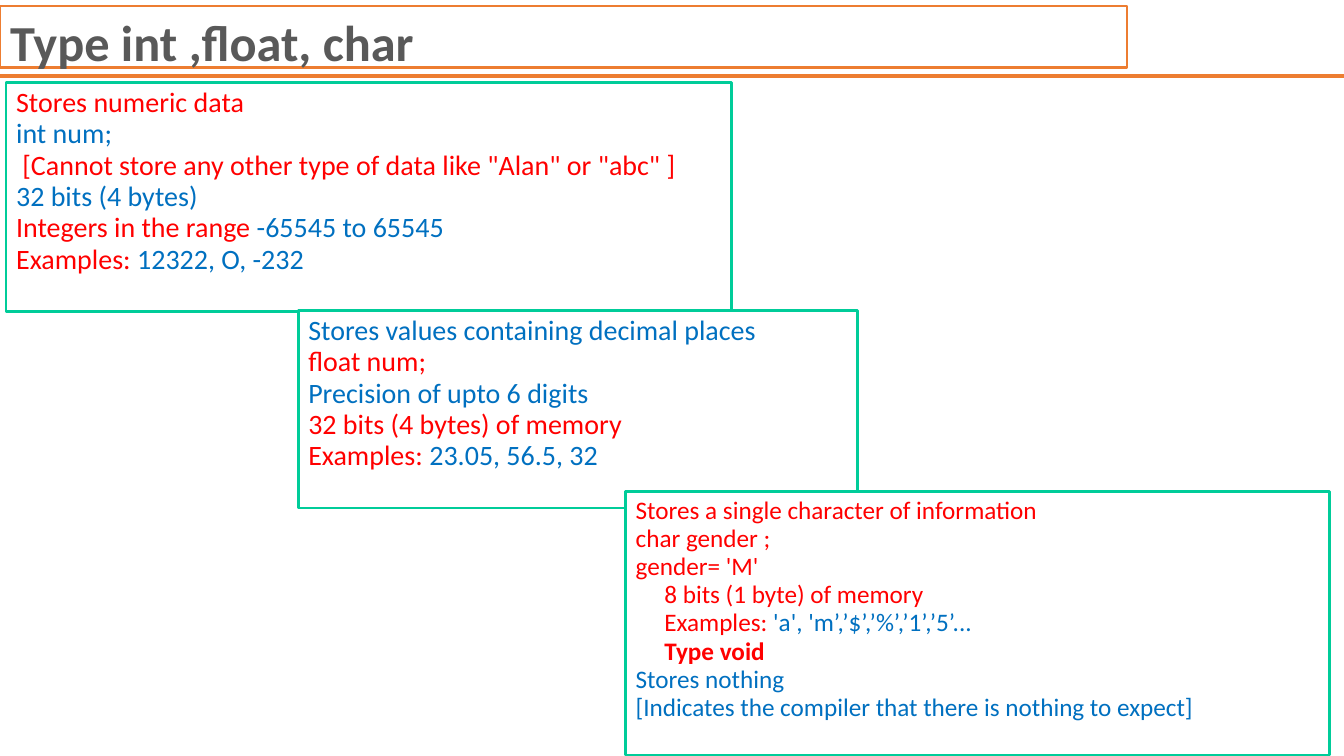
from dataclasses import dataclass

from lxml.etree import SubElement
from pptx import Presentation
from pptx.dml.color import RGBColor
from pptx.enum.shapes import MSO_CONNECTOR as Connector
from pptx.enum.text import MSO_ANCHOR as Anchor, MSO_AUTO_SIZE as AutoSize, PP_ALIGN as Align
from pptx.oxml.ns import qn
from pptx.util import Pt

COLORS = {
    "accent": "ED7D31",
    "title": "595959",
    "border": "00CC99",
    "paper": "FFFFFF",
    "red": "FF0000",
    "blue": "0070C0",
}
FONT = "Calibri"
COMPARISON_LAYOUT = 4
SLIDE_WIDTH, SLIDE_HEIGHT = 960.48, 540
RULE_TOP = 54.36
VOID_INDENT = 20.5


@dataclass(frozen=True)
class Span:
    text: str
    color: str
    bold: bool = False


@dataclass(frozen=True)
class Line:
    spans: tuple[Span, ...]
    indent: float = 0


@dataclass(frozen=True)
class TypeCard:
    box: tuple[float, float, float, float]
    size: float
    align: Align
    lines: tuple[Line, ...]


def red(text: str, bold: bool = False) -> Span:
    """Return a red span."""
    return Span(text, "red", bold)


def blue(text: str) -> Span:
    """Return a blue span."""
    return Span(text, "blue")


def line(*spans: Span, indent: float = 0) -> Line:
    """Return a line made of the given spans."""
    return Line(spans, indent)


TITLE_BOX = (0, 4.32, 805.68, 43.92)
TITLE = Span("Type int ,float, char", "title", True)
CARDS = (
    TypeCard((4.32, 59.04, 518.4, 163.44), 20, Align.JUSTIFY, (
        line(red("Stores numeric data")),
        line(blue("int num;")),
        line(red('[Cannot store any other type of data like "Alan" or "abc" ]'), indent=4.5),
        line(blue("32 bits (4 bytes)")),
        line(red("Integers in the range"), blue(" -65545 to 65545")),
        line(red("Examples: "), blue("12322, O, -232")),
    )),
    TypeCard((213.12, 221.76, 399.6, 141.12), 20, Align.JUSTIFY, (
        line(blue("Stores values containing decimal places")),
        line(red("float num;")),
        line(blue("Precision of upto 6 digits")),
        line(red("32 bits (4 bytes) of memory")),
        line(red("Examples:"), blue(" 23.05, 56.5, 32")),
    )),
    TypeCard((447.12, 351.36, 503.28, 187.92), 18, Align.LEFT, (
        line(red("Stores a single character of information")),
        line(red("char gender ;")),
        line(red("gender= 'M'")),
        line(red("8 bits (1 byte) of memory"), indent=VOID_INDENT),
        line(red("Examples: "), blue("'a', 'm’,’$’,’%’,’1’,’5’..."), indent=VOID_INDENT),
        line(red("Type void", bold=True), indent=VOID_INDENT),
        line(blue("Stores nothing")),
        line(blue("[Indicates the compiler that there is nothing to expect]")),
    )),
)


def rgb(name: str) -> RGBColor:
    """Look up a named colour."""
    return RGBColor.from_string(COLORS[name])


def frame(holder, box: tuple[float, float, float, float], border: str, weight: float):
    """Place and outline a placeholder, returning its text frame."""
    holder.left, holder.top, holder.width, holder.height = map(Pt, box)
    holder.line.color.rgb = rgb(border)
    holder.line.width = Pt(weight)
    text_frame = holder.text_frame
    text_frame.word_wrap = True
    text_frame.auto_size = AutoSize.NONE
    text_frame.vertical_anchor = Anchor.TOP
    return text_frame


def add_span(paragraph, span: Span, size: float) -> None:
    """Append one formatted run."""
    run = paragraph.add_run()
    run.text = span.text
    run.font.name = FONT
    run.font.size = Pt(size)
    run.font.bold = span.bold
    run.font.color.rgb = rgb(span.color)


def draw_rule(slide) -> None:
    """Draw the rule below the title."""
    rule = slide.shapes.add_connector(
        Connector.STRAIGHT, Pt(0), Pt(RULE_TOP), Pt(SLIDE_WIDTH), Pt(RULE_TOP))
    rule.line.color.rgb = rgb("accent")
    rule.line.width = Pt(3)
    SubElement(rule.line._get_or_add_ln().getparent(), qn("a:effectLst"))


def draw_title(slide) -> None:
    """Fill the title placeholder."""
    heading = frame(slide.shapes.title, TITLE_BOX, "accent", 1.5).paragraphs[0]
    heading.alignment = Align.LEFT
    add_span(heading, TITLE, 36)


def draw_card(holder, card: TypeCard) -> None:
    """Fill a body placeholder with the facts about one type."""
    text_frame = frame(holder, card.box, "border", 2)
    holder.fill.solid()
    holder.fill.fore_color.rgb = rgb("paper")
    for index, fact in enumerate(card.lines):
        paragraph = text_frame.add_paragraph() if index else text_frame.paragraphs[0]
        properties = paragraph._p.get_or_add_pPr()
        properties.set("marL", str(Pt(fact.indent)))
        properties.set("indent", "0")
        SubElement(properties, qn("a:buNone"))
        paragraph.alignment = card.align
        paragraph.line_spacing = 0.93
        paragraph.space_before = Pt(0)
        for span in fact.spans:
            add_span(paragraph, span, card.size)


def main() -> None:
    """Build and save the slide."""
    deck = Presentation()
    deck.slide_width, deck.slide_height = Pt(SLIDE_WIDTH), Pt(SLIDE_HEIGHT)
    slide = deck.slides.add_slide(deck.slide_layouts[COMPARISON_LAYOUT])
    draw_rule(slide)
    draw_title(slide)
    bodies = [holder for holder in slide.placeholders if holder.placeholder_format.idx > 0]
    for holder, card in zip(bodies, CARDS):
        draw_card(holder, card)
    for spare in bodies[len(CARDS):]:
        spare.element.getparent().remove(spare.element)
    deck.save("out.pptx")


if __name__ == "__main__":
    main()
